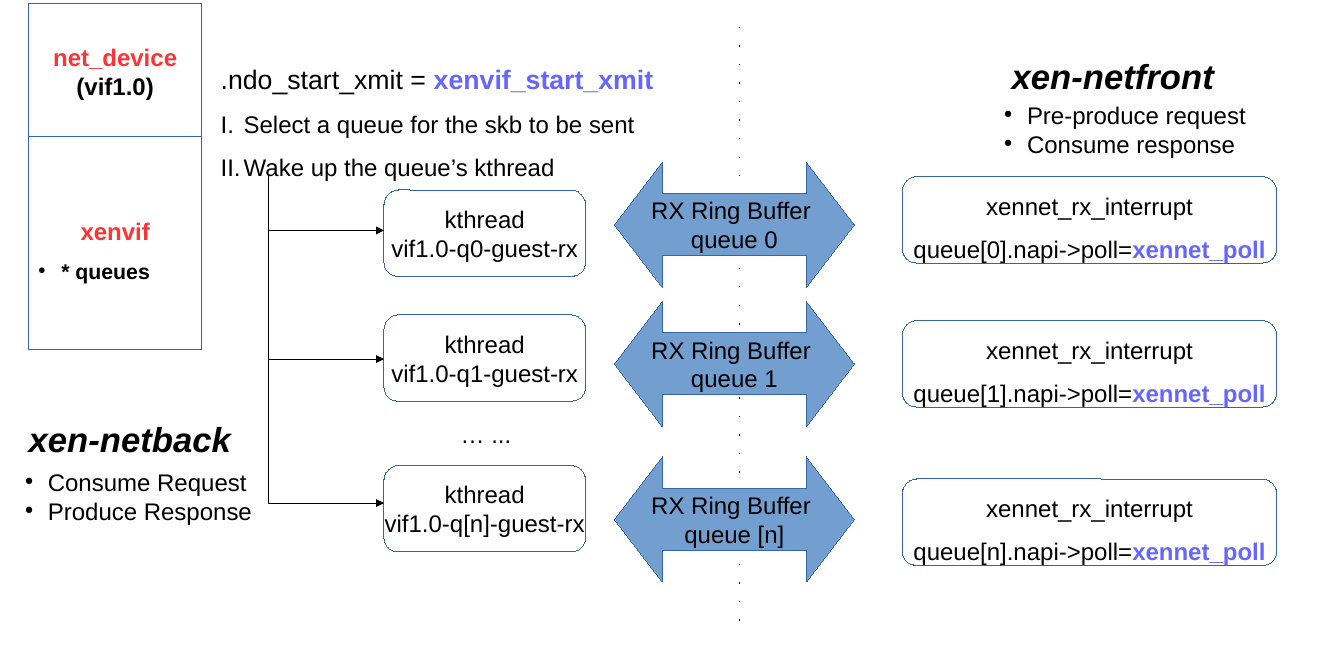
from lxml.etree import SubElement
from pptx import Presentation
from pptx.dml.color import RGBColor
from pptx.enum.shapes import MSO_CONNECTOR, MSO_SHAPE
from pptx.enum.text import MSO_ANCHOR, PP_ALIGN
from pptx.oxml.ns import qn
from pptx.util import Inches, Pt

BLACK, WHITE, RED, VIOLET = "000000", "FFFFFF", "FF3333", "6666FF"
EDGE, RING = "3465A4", "729FCF"
FONT = "Arial"

PLAIN = dict(size=18, color=BLACK)
BOLD = dict(PLAIN, bold=True)
NAME = dict(size=18, color=RED, bold=True)
FUNC = dict(size=18, color=VIOLET, bold=True)
HEAD = dict(size=26, color=BLACK, bold=True, italic=True)

# A paragraph is (runs, layout); a run is (text, format).
CENTER = dict(align=PP_ALIGN.CENTER)
CENTER_WIDE = dict(CENTER, spacing=1.5)
DOT = dict(bullet="●")
DOT_WIDE = dict(DOT, spacing=1.5)
STEP = dict(bullet="I.", spacing=1.5)

DEVICE_BOXES = [
    ((0.3, 0.04, 1.8, 1.4), [([("net_device", NAME)], CENTER),
                             ([("(vif1.0)", BOLD)], CENTER)]),
    ((0.3, 1.42, 1.8, 2.22), [([("xenvif", NAME)], CENTER_WIDE),
                              ([("* queues", dict(BOLD, size=16))], DOT_WIDE)]),
]
LABELS = [
    ((0.2, 4.3, 2.4, 0.5), [([("xen-netback", HEAD)], {})]),
    ((0.16, 4.82, 2.62, 0.66), [([("Consume Request", PLAIN)], DOT),
                                ([("Produce Response", PLAIN)], DOT)]),
    ((10.44, 0.52, 2.4, 0.5), [([("xen-netfront", HEAD)], {})]),
    ((10.36, 1, 2.8, 0.66), [([("Pre-produce request", PLAIN)], DOT),
                             ([("Consume response", PLAIN)], DOT)]),
    ((2.2, 0.44, 4.8, 1.4), [
        ([(".ndo_start_xmit = ", dict(PLAIN, size=20)),
          ("xenvif_start_xmit", dict(FUNC, size=20))], dict(spacing=1.5)),
        ([("Select a queue for the skb to be sent", PLAIN)], STEP),
        ([("Wake up the queue’s kthread", PLAIN)], STEP)]),
    ((4.7, 4.32, 0.8, 0.38), [([("… ...", PLAIN)], {})]),
]
# kthread name, ring name, napi index, then tops of kthread, ring and
# interrupt boxes and the height of the wake-up arrow
QUEUES = [
    ("q0", "0", "0", 1.98, 1.69, 1.84, 2.4),
    ("q1", "1", "1", 3.28, 3.14, 3.34, 3.74),
    ("q[n]", "[n]", "n", 4.85, 4.76, 4.99, 5.24),
]
TRUNK_X, TRUNK_TOP, KTHREAD_X = 2.8, 1.84, 4
BORDER = (7.7, 0.28, 7.7, 6.58)


def rgb(value):
    return RGBColor.from_string(value)


def drop_style(sp):
    """Remove the theme style, whose line width overrides a hairline."""
    sp._element.remove(sp._element.find(qn("p:style")))


def add_bullet(p, mark):
    pPr = p._p.get_or_add_pPr()
    pPr.set("marL", str(Inches(0.24)))
    pPr.set("indent", str(-Inches(0.24)))
    color = SubElement(pPr, qn("a:buClr"))
    SubElement(color, qn("a:srgbClr"), val=BLACK)
    if mark == "I.":
        SubElement(pPr, qn("a:buAutoNum"), type="romanUcPeriod")
    else:
        SubElement(pPr, qn("a:buSzPct"), val="45000")
        SubElement(pPr, qn("a:buChar"), char=mark)


def write(tf, paragraphs, wrap=False):
    tf.word_wrap = wrap
    for i, (runs, layout) in enumerate(paragraphs):
        p = tf.paragraphs[0] if i == 0 else tf.add_paragraph()
        p.alignment = layout.get("align", PP_ALIGN.LEFT)
        if "spacing" in layout:
            p.line_spacing = layout["spacing"]
        if "bullet" in layout:
            add_bullet(p, layout["bullet"])
        for text, style in runs:
            r = p.add_run()
            r.text = text
            r.font.color.rgb = rgb(style["color"])
            values = dict(name=FONT, size=Pt(style["size"]),
                          bold=style.get("bold", False),
                          italic=style.get("italic", False))
            for key, value in values.items():
                setattr(r.font, key, value)


def add_box(slide, kind, at, paragraphs, fill=WHITE, adjustments=()):
    sp = slide.shapes.add_shape(kind, *map(Inches, at))
    drop_style(sp)
    sp.shadow.inherit = False
    sp.fill.solid()
    sp.fill.fore_color.rgb = rgb(fill)
    sp.line.color.rgb = rgb(EDGE)
    sp.line.width = Pt(0)
    for i, value in enumerate(adjustments):
        sp.adjustments[i] = value
    sp.text_frame.vertical_anchor = MSO_ANCHOR.MIDDLE
    write(sp.text_frame, paragraphs)


def add_label(slide, at, paragraphs):
    sp = slide.shapes.add_textbox(*map(Inches, at))
    write(sp.text_frame, paragraphs, wrap=True)


def add_line(slide, ends, width=0, arrow=False, dotted=False):
    line = slide.shapes.add_connector(MSO_CONNECTOR.STRAIGHT, *map(Inches, ends))
    drop_style(line)
    line.line.color.rgb = rgb(BLACK)
    line.line.width = Pt(width)
    ln = line.line._get_or_add_ln()
    if dotted:
        dash = SubElement(ln, qn("a:custDash"))
        SubElement(dash, qn("a:ds"), d="100000", sp="1300000")
    if arrow:
        SubElement(ln, qn("a:tailEnd"), type="triangle")
    SubElement(line._element.spPr, qn("a:effectLst"))


def add_queue(slide, thread, ring, index, thread_y, ring_y, irq_y, arrow_y):
    add_box(slide, MSO_SHAPE.ROUNDED_RECTANGLE, (KTHREAD_X, thread_y, 2.1, 0.9),
            [([("kthread", PLAIN)], CENTER),
             ([(f"vif1.0-{thread}-guest-rx", PLAIN)], CENTER)],
            adjustments=(0.167,))
    add_box(slide, MSO_SHAPE.LEFT_RIGHT_ARROW, (6.4, ring_y, 2.5, 1.3),
            [([("RX Ring Buffer ", PLAIN)], CENTER),
             ([(f"queue {ring}", PLAIN)], CENTER)],
            fill=RING, adjustments=(0.5, 0.383))
    add_box(slide, MSO_SHAPE.ROUNDED_RECTANGLE, (9.4, irq_y, 3.9, 0.9),
            [([("xennet_rx_interrupt", PLAIN)], CENTER_WIDE),
             ([(f"queue[{index}].napi->poll=", PLAIN),
               ("xennet_poll", FUNC)], CENTER_WIDE)],
            adjustments=(0.167,))
    add_line(slide, (TRUNK_X, arrow_y, KTHREAD_X, arrow_y), arrow=True)


def main():
    prs = Presentation()
    prs.slide_width, prs.slide_height = Inches(14), Inches(7)
    slide = prs.slides.add_slide(prs.slide_layouts[6])
    add_line(slide, BORDER, width=1, dotted=True)
    for at, paragraphs in DEVICE_BOXES:
        add_box(slide, MSO_SHAPE.RECTANGLE, at, paragraphs)
    for at, paragraphs in LABELS:
        add_label(slide, at, paragraphs)
    add_line(slide, (TRUNK_X, TRUNK_TOP, TRUNK_X, QUEUES[-1][-1]))
    for queue in QUEUES:
        add_queue(slide, *queue)
    prs.save("out.pptx")


if __name__ == "__main__":
    main()
